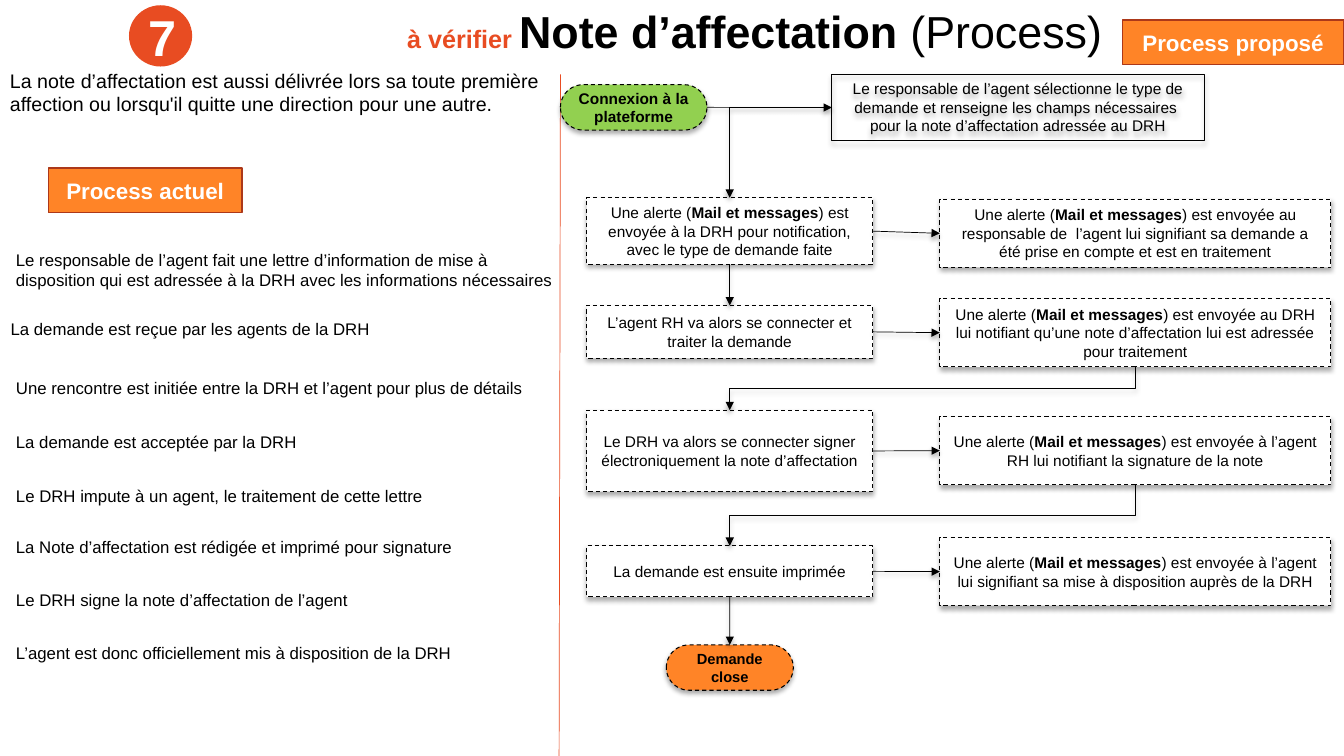
from dataclasses import dataclass

import pptx
import pptx.util
import pptx.dml.color
import pptx.enum.dml
import pptx.enum.shapes
import pptx.enum.text
import pptx.oxml.ns
import lxml.etree

RGB = pptx.dml.color.RGBColor
BLACK = RGB(0x00, 0x00, 0x00)
WHITE = RGB(0xFF, 0xFF, 0xFF)
RED = RGB(0xE8, 0x4C, 0x22)
ORANGE = RGB(0xFF, 0x84, 0x27)
RUST = RGB(0xAC, 0x38, 0x19)
GREEN = RGB(0x92, 0xD0, 0x50)

FORM = pptx.enum.shapes.MSO_SHAPE
LINK = pptx.enum.shapes.MSO_CONNECTOR
ANCHOR = pptx.enum.text.MSO_ANCHOR
ALIGN = pptx.enum.text.PP_ALIGN
FIT = pptx.enum.text.MSO_AUTO_SIZE
TOP, LEFT, BOTTOM, RIGHT = range(4)

WIDE = pptx.util.Inches(13.333)
HIGH = pptx.util.Inches(7.5)


@dataclass
class Box:
    """Shape whose place is in percent of the slide; *stars* mark bold text."""
    left: float
    top: float
    width: float
    height: float
    text: str
    kind: int = FORM.RECTANGLE
    fill: RGB | None = WHITE
    edge: RGB | None = BLACK
    weight: float = 0.75
    dash: bool = True
    shade: bool = True
    size: float = 11
    ink: RGB = BLACK
    anchor: int = ANCHOR.MIDDLE


@dataclass
class Arrow:
    start: str
    exit: int
    end: str
    entry: int
    bend: str = ""


@dataclass
class Note:
    left: float
    top: float
    width: float
    height: float
    text: str
    size: float = 12
    wrap: bool = False


def across(share: float) -> int:
    return round(WIDE * share / 100)


def down(share: float) -> int:
    return round(HIGH * share / 100)


def place(item) -> tuple[int, int, int, int]:
    return across(item.left), down(item.top), across(item.width), down(item.height)


def add_run(para, text: str, size: float, ink: RGB, bold: bool = False) -> None:
    run = para.add_run()
    run.text = text
    run.font.name = "Arial"
    run.font.size = pptx.util.Pt(size)
    run.font.bold = bold
    run.font.color.rgb = ink


def add_node(parent, tag: str, **attrs: str):
    return lxml.etree.SubElement(parent, pptx.oxml.ns.qn(tag), attrs)


def add_shade(effect) -> None:
    drop = add_node(effect, "a:outerShdw", blurRad="44450", dist="27940",
                    dir="5400000", algn="ctr", rotWithShape="0")
    add_node(add_node(drop, "a:srgbClr", val="000000"), "a:alpha", val="32000")


def draw_box(slide, box: Box):
    shape = slide.shapes.add_shape(box.kind, *place(box))
    if box.kind == FORM.ROUNDED_RECTANGLE:
        shape.adjustments[0] = 0.5
    if box.fill is None:
        shape.fill.background()
    else:
        shape.fill.solid()
        shape.fill.fore_color.rgb = box.fill
    if box.edge is None:
        shape.line.fill.background()
    else:
        shape.line.color.rgb = box.edge
        shape.line.width = pptx.util.Pt(box.weight)
        if box.dash:
            shape.line.dash_style = pptx.enum.dml.MSO_LINE.DASH
    shape.shadow.inherit = False
    if box.shade:
        add_shade(shape._element.spPr.find(pptx.oxml.ns.qn("a:effectLst")))
    frame = shape.text_frame
    frame.word_wrap = True
    frame.vertical_anchor = box.anchor
    para = frame.paragraphs[0]
    para.alignment = ALIGN.CENTER
    for place_no, part in enumerate(box.text.split("*")):
        if part:
            add_run(para, part, box.size, box.ink, place_no % 2 == 1)
    return shape


def draw_line(slide, kind: int, ends: tuple[int, int, int, int], ink: RGB):
    line = slide.shapes.add_connector(kind, *ends)
    line.line.color.rgb = ink
    line.line.width = pptx.util.Pt(0.5)
    return line, add_node(line._element.spPr, "a:effectLst")


def draw_arrow(slide, arrow: Arrow, shapes: dict) -> None:
    kind = LINK.ELBOW if arrow.bend else LINK.STRAIGHT
    line, effect = draw_line(slide, kind, (0, 0, 0, 0), BLACK)
    add_shade(effect)
    add_node(line.line._get_or_add_ln(), "a:tailEnd", type="triangle")
    line.begin_connect(shapes[arrow.start], arrow.exit)
    line.end_connect(shapes[arrow.end], arrow.entry)
    props = line._element.spPr
    if arrow.bend == "corner":
        props.find(pptx.oxml.ns.qn("a:prstGeom")).set("prst", "bentConnector2")
    elif arrow.bend == "step":
        # A quarter turn makes the elbow leave downwards
        wide, high = line.width, line.height
        shift = (wide - high) // 2
        line.left, line.top = line.left + shift, line.top - shift
        line.width, line.height = high, wide
        frame = props.find(pptx.oxml.ns.qn("a:xfrm"))
        frame.attrib.pop("flipH", None)
        frame.set("rot", "5400000")


def draw_note(slide, note: Note) -> None:
    frame = slide.shapes.add_textbox(*place(note)).text_frame
    frame.word_wrap = note.wrap
    frame.auto_size = FIT.SHAPE_TO_FIT_TEXT
    add_run(frame.paragraphs[0], note.text, note.size, BLACK)


def task(top: float, height: float, text: str) -> Box:
    return Box(43.65, top, 21.3, height, text)


def alert(top: float, text: str) -> Box:
    return Box(69.93, top, 29.1, 9.03, "Une alerte (*Mail et messages*) est envoyée " + text)


def badge(left: float, top: float, width: float, text: str) -> Box:
    return Box(left, top, width, 5.9, text, fill=ORANGE, edge=RUST, weight=1,
               dash=False, shade=False, size=16, ink=WHITE)


BOXES = {
    "form": Box(61.9, 9.85, 27.7, 8.75, "Le responsable de l’agent sélectionne le type de demande et renseigne les champs nécessaires  pour la note d’affectation adressée au DRH",
                fill=None, dash=False, anchor=ANCHOR.TOP),
    "notice": task(26.15, 8.85, "Une alerte (*Mail et messages*) est envoyée à la DRH pour notification, avec le type de demande faite"),
    "treat": task(40.4, 7, "L’agent RH va alors se connecter et traiter la demande"),
    "sign": task(54.25, 10.8, "Le DRH va alors se connecter signer électroniquement la note d’affectation"),
    "print": task(72.2, 6.75, "La demande est ensuite imprimée"),
    "taken": alert(26.35, "au responsable de  l’agent lui signifiant sa demande a été prise en compte et est en traitement"),
    "passed": alert(39.5, "au DRH lui notifiant qu’une note d’affectation lui est adressée pour traitement"),
    "signed": alert(55.1, "à l’agent RH lui notifiant la signature de la note"),
    "told": alert(71.1, "à l’agent lui signifiant sa mise à disposition auprès de la DRH"),
    "login": Box(41.7, 11.2, 10.9, 6, "*Connexion à la plateforme*", FORM.ROUNDED_RECTANGLE, GREEN),
    "close": Box(49.58, 85.3, 9.45, 6, "*Demande close*", FORM.ROUNDED_RECTANGLE, ORANGE, size=10.5),
    "number": Box(9.6, 0.7, 4.7, 8.1, "*7*", FORM.OVAL, RED, None, shade=False, size=36, ink=WHITE),
    "planned": badge(83.5, 2.65, 16.5, "*Process proposé*"),
    "current": badge(3.6, 22.25, 14.4, "*Process actuel*"),
}

ROWS = [("notice", "taken"), ("treat", "passed"), ("sign", "signed"), ("print", "told")]
ARROWS = [Arrow(left, RIGHT, right, LEFT) for left, right in ROWS] + [
    Arrow("login", RIGHT, "form", LEFT),
    Arrow("form", LEFT, "notice", TOP, "corner"),
    Arrow("notice", BOTTOM, "treat", TOP),
    Arrow("passed", BOTTOM, "sign", TOP, "step"),
    Arrow("signed", BOTTOM, "print", TOP, "step"),
    Arrow("print", BOTTOM, "close", TOP),
]

NOTES = [
    Note(0, 8.4, 41, 7.6, "La note d’affectation est aussi délivrée lors sa toute première affection ou lorsqu'il quitte une direction pour une autre.", 14, True),
    Note(0.45, 32.4, 41.6, 6.7, "Le responsable de l’agent fait une lettre d’information de mise à disposition qui est adressée à la DRH avec les informations nécessaires", wrap=True),
    Note(0.05, 41.45, 44.3, 4, "La demande est reçue par les agents de la DRH", wrap=True),
    Note(0.45, 49.3, 39.4, 4, "Une rencontre est initiée entre la DRH et l’agent pour plus de détails"),
    Note(0.45, 56.4, 22.6, 4, "La demande est acceptée par la DRH"),
    Note(0.45, 63.6, 32, 4, "Le DRH impute à un agent, le traitement de cette lettre"),
    Note(0.45, 70.4, 34.2, 4, "La Note d’affectation est rédigée et imprimé pour signature"),
    Note(0.45, 77.3, 26.4, 4, "Le DRH signe la note d’affectation de l’agent"),
    Note(0.45, 84.3, 34.1, 4, "L’agent est donc officiellement mis à disposition de la DRH"),
]


def main() -> None:
    deck = pptx.Presentation()
    deck.slide_width, deck.slide_height = WIDE, HIGH
    slide = deck.slides.add_slide(deck.slide_layouts[5])

    # Title
    title = slide.shapes.title
    title.left, title.top = across(13.7), down(0.9)
    title.width, title.height = across(84.9), down(7.3)
    title.text_frame.auto_size = FIT.NONE
    title.text_frame.vertical_anchor = ANCHOR.MIDDLE
    para = title.text_frame.paragraphs[0]
    para.alignment = ALIGN.CENTER
    para.line_spacing = 0.9
    add_run(para, "à vérifier ", 18, RED, True)
    add_run(para, "Note d’affectation ", 32, BLACK, True)
    add_run(para, "(Process)", 32, BLACK)

    # Divider, flow chart and list of current steps
    draw_line(slide, LINK.STRAIGHT, (across(41.7), down(9.85), across(41.6), HIGH), RED)
    shapes = {name: draw_box(slide, box) for name, box in BOXES.items()}
    for arrow in ARROWS:
        draw_arrow(slide, arrow, shapes)
    for note in NOTES:
        draw_note(slide, note)

    deck.save("out.pptx")


if __name__ == "__main__":
    main()
